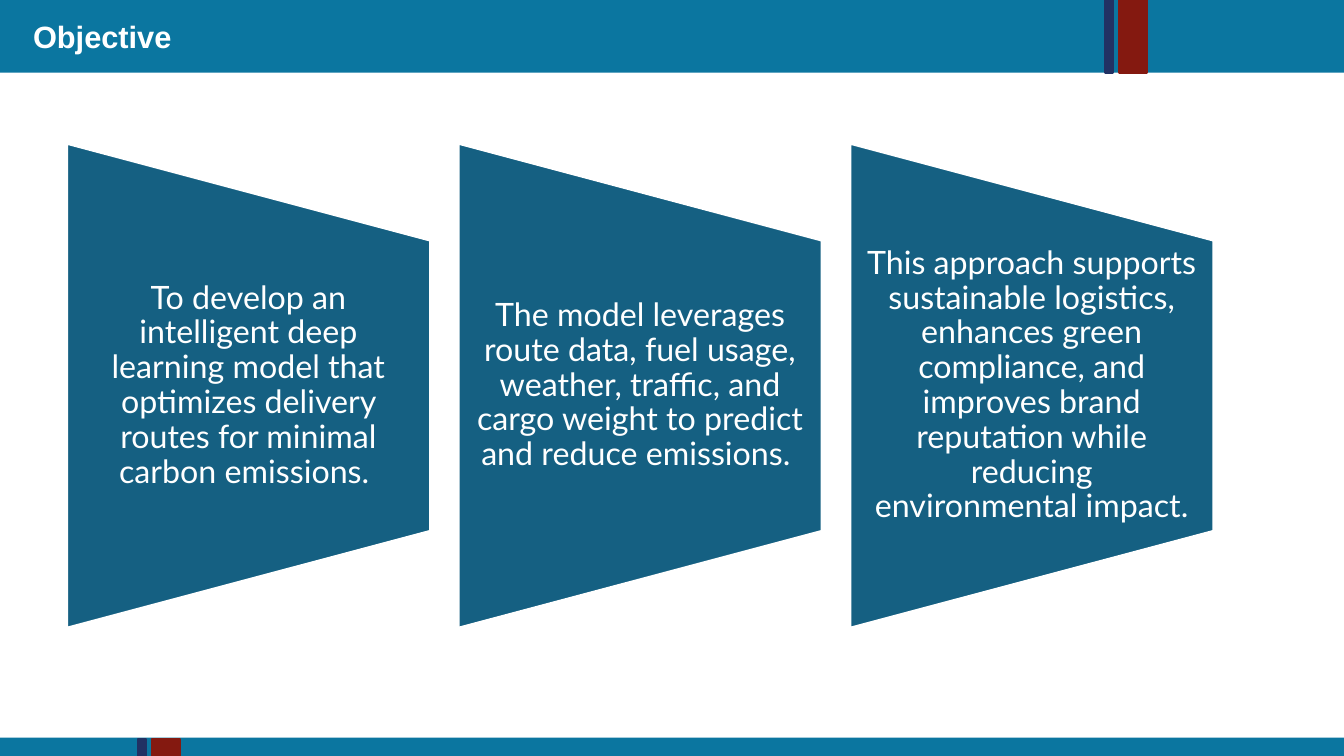
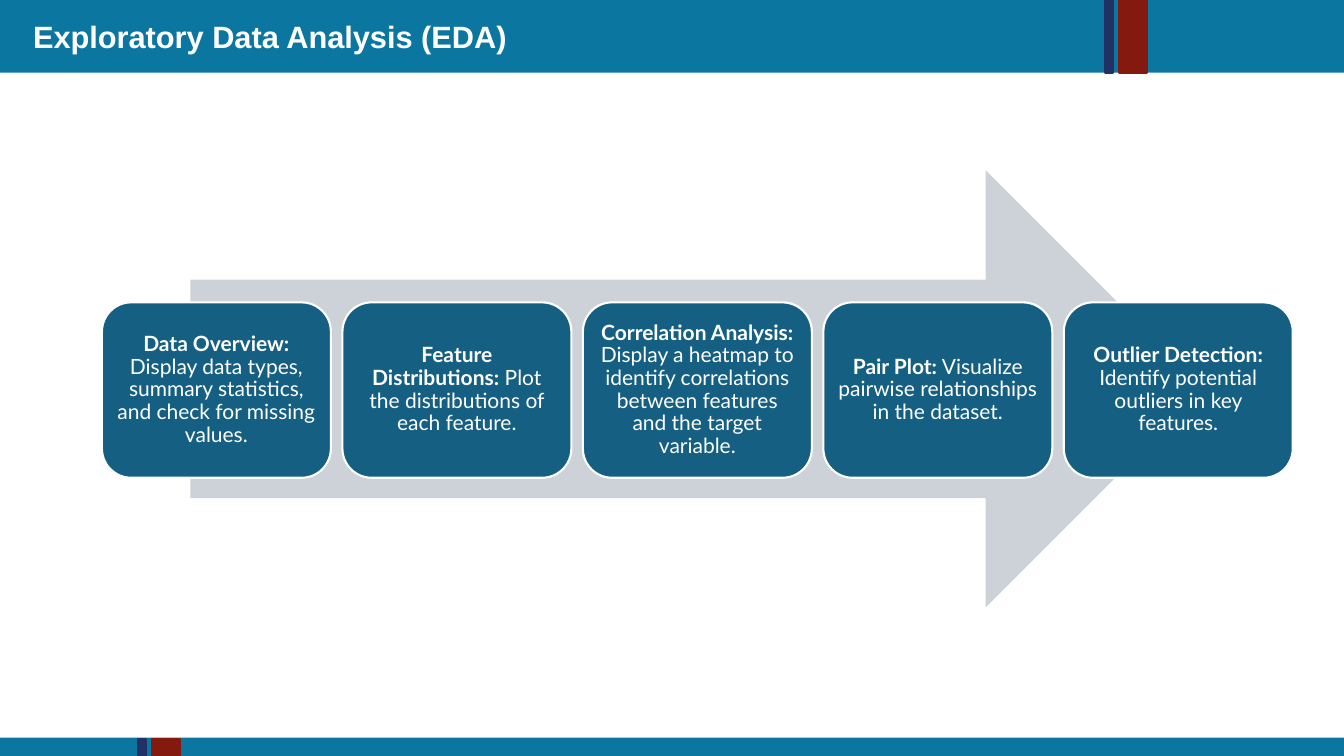
from dataclasses import dataclass

from pptx import Presentation
from pptx import util as u
from pptx.dml.color import RGBColor
from pptx.enum import shapes, text


@dataclass(frozen=True)
class Theme:
    band: RGBColor = RGBColor.from_string("0B76A0")
    red: RGBColor = RGBColor.from_string("841910")
    navy: RGBColor = RGBColor.from_string("213163")
    panel: RGBColor = RGBColor.from_string("156082")
    arrow: RGBColor = RGBColor.from_string("CCD2D8")
    white: RGBColor = RGBColor.from_string("FFFFFF")
    heading_font: str = "Arial"
    body_font: str = "Lato"
    title_size: u.Pt = u.Pt(22)
    panel_size: u.Pt = u.Pt(23)
    card_size: u.Pt = u.Pt(15)


theme = Theme()


def add_block(slide, kind, place, fill, line=None, line_width=1.5):
    block = slide.shapes.add_shape(kind, *map(u.Cm, place))
    block.shadow.inherit = False
    block.fill.solid()
    block.fill.fore_color.rgb = fill
    if line is None:
        block.line.fill.background()
    else:
        block.line.color.rgb = line
        block.line.width = u.Pt(line_width)
    return block


def write_centred(holder, runs, size, side_inset, end_inset):
    frame = holder.text_frame
    frame.word_wrap = True
    frame.vertical_anchor = text.MSO_ANCHOR.MIDDLE
    frame.margin_left = frame.margin_right = u.Cm(side_inset)
    frame.margin_top = frame.margin_bottom = u.Cm(end_inset)
    paragraph = frame.paragraphs[0]
    paragraph.alignment = text.PP_ALIGN.CENTER
    paragraph.line_spacing = 0.9
    paragraph.font.name = theme.body_font
    paragraph.font.size = size
    paragraph.font.color.rgb = theme.white
    for words, bold in runs:
        run = paragraph.add_run()
        run.text = words
        run.font.bold = bold


deck = Presentation()
deck.slide_width, deck.slide_height = u.Cm(33.87), u.Cm(19.05)
layout = deck.slide_layouts.get_by_name("Title Only")

for footer in list(layout.placeholders)[1:]:
    layout.shapes.element.remove(footer.element)
layout_title = layout.placeholders[0]
layout_title.left, layout_title.top = u.Cm(0.58), u.Cm(0.33)
layout_title.width, layout_title.height = u.Cm(32.72), u.Cm(1.09)

titles = ["Objective", "Exploratory Data Analysis (EDA)"]
objective, analysis = [deck.slides.add_slide(layout) for _ in titles]

for slide, heading in zip(deck.slides, titles):
    title = slide.shapes.title
    title.text_frame.text = heading
    title.text_frame.vertical_anchor = text.MSO_ANCHOR.TOP
    title.text_frame.auto_size = text.MSO_AUTO_SIZE.NONE
    line = title.text_frame.paragraphs[0]
    line.alignment = text.PP_ALIGN.LEFT
    line.font.name = theme.heading_font
    line.font.size = theme.title_size
    line.font.bold = True
    line.font.color.rgb = theme.white

rectangle = shapes.MSO_SHAPE.RECTANGLE
frame_parts = [
    add_block(objective, rectangle, (0, top, 33.87, height), theme.band)
    for top, height in [(0, 1.83), (18.59, 0.46)]
]
for left, top, height in [(27.84, 0, 1.83), (3.48, 18.62, 0.43)]:
    for offset, width, colour in [(0.35, 0.71, theme.red), (0, 0.2, theme.navy)]:
        frame_parts.append(
            add_block(objective, rectangle, (left + offset, top, width, height), colour, colour)
        )
for part in frame_parts:
    layout_title.element.addprevious(part.element)

goals = [
    "To develop an intelligent deep learning model that optimizes delivery routes "
    "for minimal carbon emissions. ",
    "The model leverages route data, fuel usage, weather, traffic, and cargo weight "
    "to predict and reduce emissions. ",
    "This approach supports sustainable logistics, enhances green compliance, and "
    "improves brand reputation while reducing environmental impact.",
]
panel_length, panel_width = 12.22, 9.17
panel_middle = 9.72
for index, goal in enumerate(goals):
    left = 1.68 + index * 9.87
    panel = add_block(
        objective,
        shapes.MSO_SHAPE.FLOWCHART_MANUAL_OPERATION,
        (left - (panel_length - panel_width) / 2, panel_middle - panel_width / 2,
         panel_length, panel_width),
        theme.panel, theme.white, 2,
    )
    panel.rotation = 270
    goal_box = objective.shapes.add_textbox(
        u.Cm(left), u.Cm(panel_middle - 3.67), u.Cm(panel_width), u.Cm(7.34)
    )
    write_centred(goal_box, [(goal, False)], theme.panel_size, 0.41, 0)

steps = [
    ("Data Overview:", " Display data types, summary statistics, and check for missing values."),
    ("Feature Distributions:", " Plot the distributions of each feature."),
    ("Correlation Analysis:",
     " Display a heatmap to identify correlations between features and the target variable."),
    ("Pair Plot:", " Visualize pairwise relationships in the dataset."),
    ("Outlier Detection:", " Identify potential outliers in key features."),
]
add_block(analysis, shapes.MSO_SHAPE.RIGHT_ARROW, (4.8, 4.29, 25.55, 11.02), theme.arrow)
for index, (step, detail) in enumerate(steps):
    card = add_block(
        analysis,
        shapes.MSO_SHAPE.ROUNDED_RECTANGLE,
        (2.57 + index * 6.06, 7.62, 5.77, 4.42),
        theme.panel, theme.white,
    )
    write_centred(card, [(step, True), (detail, False)], theme.card_size, 0.15, 0.15)

deck.save("out.pptx")
